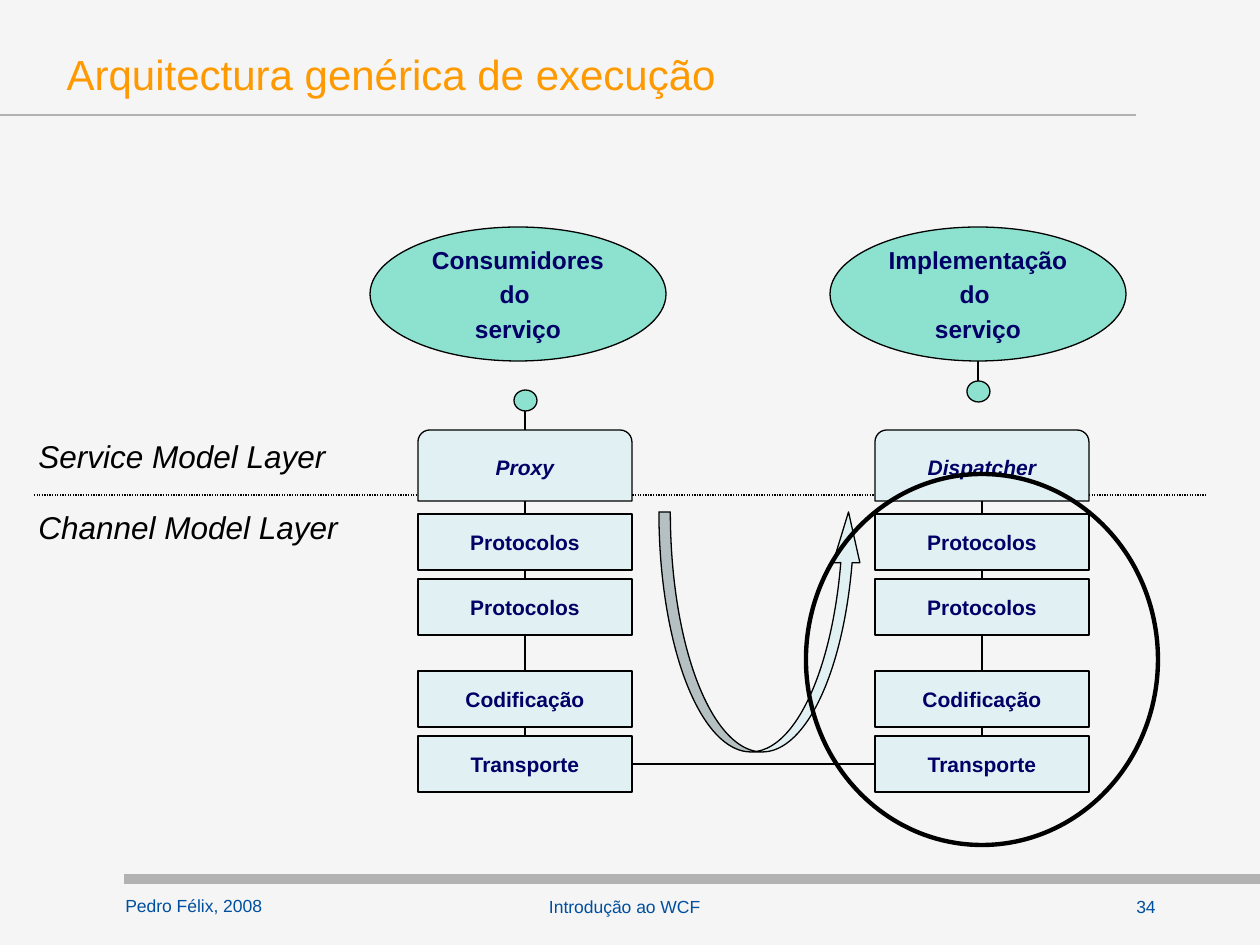
import pptx
import pptx.dml.color
import pptx.enum.dml
import pptx.enum.shapes
import pptx.enum.text
import pptx.oxml
import pptx.util

RGB = pptx.dml.color.RGBColor
MSO = pptx.enum.shapes.MSO_SHAPE
ALIGN = pptx.enum.text.PP_ALIGN
ANCHOR = pptx.enum.text.MSO_ANCHOR
Pt = pptx.util.Pt

BACKGROUND = RGB(0xF5, 0xF5, 0xF5)
ORANGE = RGB(0xFF, 0x99, 0x00)
GREY = RGB(0xB2, 0xB2, 0xB2)
BLUE = RGB(0x00, 0x4F, 0x9E)
NAVY = RGB(0x00, 0x00, 0x66)
BLACK = RGB(0x00, 0x00, 0x00)
PALE = RGB(0xE1, 0xF1, 0xF3)
MINT = RGB(0x8C, 0xE1, 0xCF)

PX = 914400 / 126  # EMU in one pixel

prs = pptx.Presentation()
prs.slide_width, prs.slide_height = round(1260 * PX), round(945 * PX)
s = prs.slides.add_slide(prs.slide_layouts[5])
s.background.fill.solid()
s.background.fill.fore_color.rgb = BACKGROUND


def write(sp, text, size, color, bold=False, italic=False, align=ALIGN.LEFT,
          anchor=ANCHOR.TOP, wrap=True, gap=0):
    """Fill a shape with one paragraph per line; gap is the space between them."""
    tf = sp.text_frame
    tf.word_wrap = wrap
    tf.vertical_anchor = anchor
    for i, line in enumerate(text.split("\n")):
        p = tf.paragraphs[0] if i == 0 else tf.add_paragraph()
        p.alignment = align
        p.space_before = Pt(gap if i else 0)
        r = p.add_run()
        r.text = line
        r.font.name, r.font.size = "Arial", Pt(size)
        r.font.bold, r.font.italic = bold, italic
        r.font.color.rgb = color


def draw(kind, box, fill=None, color=BLACK, weight=0.75):
    """Add a preset shape at box, or a straight line from box[:2] to box[2:]."""
    ends = [round(v * PX) for v in box]
    if kind == "line":
        sp = s.shapes.add_connector(pptx.enum.shapes.MSO_CONNECTOR.STRAIGHT, *ends)
        sp._element.spPr.append(pptx.oxml.parse_xml(
            '<a:effectLst xmlns:a="http://schemas.openxmlformats.org/drawingml/2006/main"/>'))
    else:
        sp = s.shapes.add_shape(kind, *ends)
        sp.shadow.inherit = False
        if fill is None:
            sp.fill.background()
        else:
            sp.fill.solid()
            sp.fill.fore_color.rgb = fill
    sp.line.color.rgb = color
    sp.line.width = Pt(weight)
    return sp


# Title and footer
draw("line", (124, 879, 1260, 879), color=GREY, weight=6)
draw("line", (0, 115, 1136, 115), color=GREY, weight=1.5)
title = s.shapes.title
title.left, title.top, title.width, title.height = (round(v * PX) for v in (54, 35, 1131, 77))
write(title, "Arquitectura genérica de execução", 24, ORANGE, anchor=ANCHOR.MIDDLE)

# Free text: footer and layer names
labels = [
    ("Pedro Félix, 2008", (113, 889, 165, 40), dict(size=10, color=BLUE)),
    ("Introdução ao WCF", (312, 890, 625, 37), dict(size=10, color=BLUE, align=ALIGN.CENTER)),
    ("34", (1096, 890, 100, 40), dict(size=10, color=BLUE, align=ALIGN.CENTER)),
    ("Service Model Layer", (26, 431, 315, 50),
     dict(size=18, color=BLACK, italic=True, wrap=False)),
    ("Channel Model Layer", (26, 502, 328, 50),
     dict(size=18, color=BLACK, italic=True, wrap=False)),
]
for text, box, style in labels:
    write(s.shapes.add_textbox(*(round(v * PX) for v in box)), text, **style)

# Border between the two layers
border = draw("line", (34, 495, 1207, 495))
border.line.dash_style = pptx.enum.dml.MSO_LINE.ROUND_DOT

# Client and service stacks
BOX_W, BOX_H = 214, 56
centred = dict(color=NAVY, bold=True, align=ALIGN.CENTER, anchor=ANCHOR.MIDDLE)
layers = [("Protocolos", 514), ("Protocolos", 579), ("Codificação", 671), ("Transporte", 736)]
stacks = [
    # left, head, ellipse text, ellipse left, ball centre x, ball top, stem
    (418, "Proxy", "Consumidores\ndo \nserviço", 370, 525, 390, (411, 430)),
    (875, "Dispatcher", "Implementação\ndo \nserviço", 830, 978, 381, (361, 381)),
]
transports = []
for left, head, role, role_left, ball_x, ball_top, (stem_from, stem_to) in stacks:
    middle = left + BOX_W // 2
    write(draw(MSO.ROUND_2_SAME_RECTANGLE, (left, 430, BOX_W, 71), PALE),
          head, 12, italic=True, **centred)
    previous = None
    for name, top in layers:
        sp = draw(MSO.RECTANGLE, (left, top, BOX_W, BOX_H), PALE)
        write(sp, name, 12, **centred)
        link = draw("line", (middle, 501, middle, top))
        if previous is not None:
            link.begin_connect(previous, 2)
        link.end_connect(sp, 0)
        previous = sp
    transports.append(previous)
    write(draw(MSO.OVAL, (role_left, 227, 296, 134), MINT), role, 14, gap=2.8, **centred)
    draw(MSO.OVAL, (ball_x - 11, ball_top, 23, 21), MINT)
    draw("line", (ball_x, stem_from, ball_x, stem_to))

wire = draw("line", (632, 764, 875, 764))
wire.begin_connect(transports[0], 3)
wire.end_connect(transports[1], 1)

# Message path and highlighted channel stack
arrow = draw(MSO.CURVED_UP_ARROW, (659, 512, 203, 240), PALE)
for i, value in enumerate((0.056, 0.132, 0.25)):
    arrow.adjustments[i] = value
draw(MSO.OVAL, (806, 474, 352, 371), weight=2.5)

prs.save("out.pptx")
